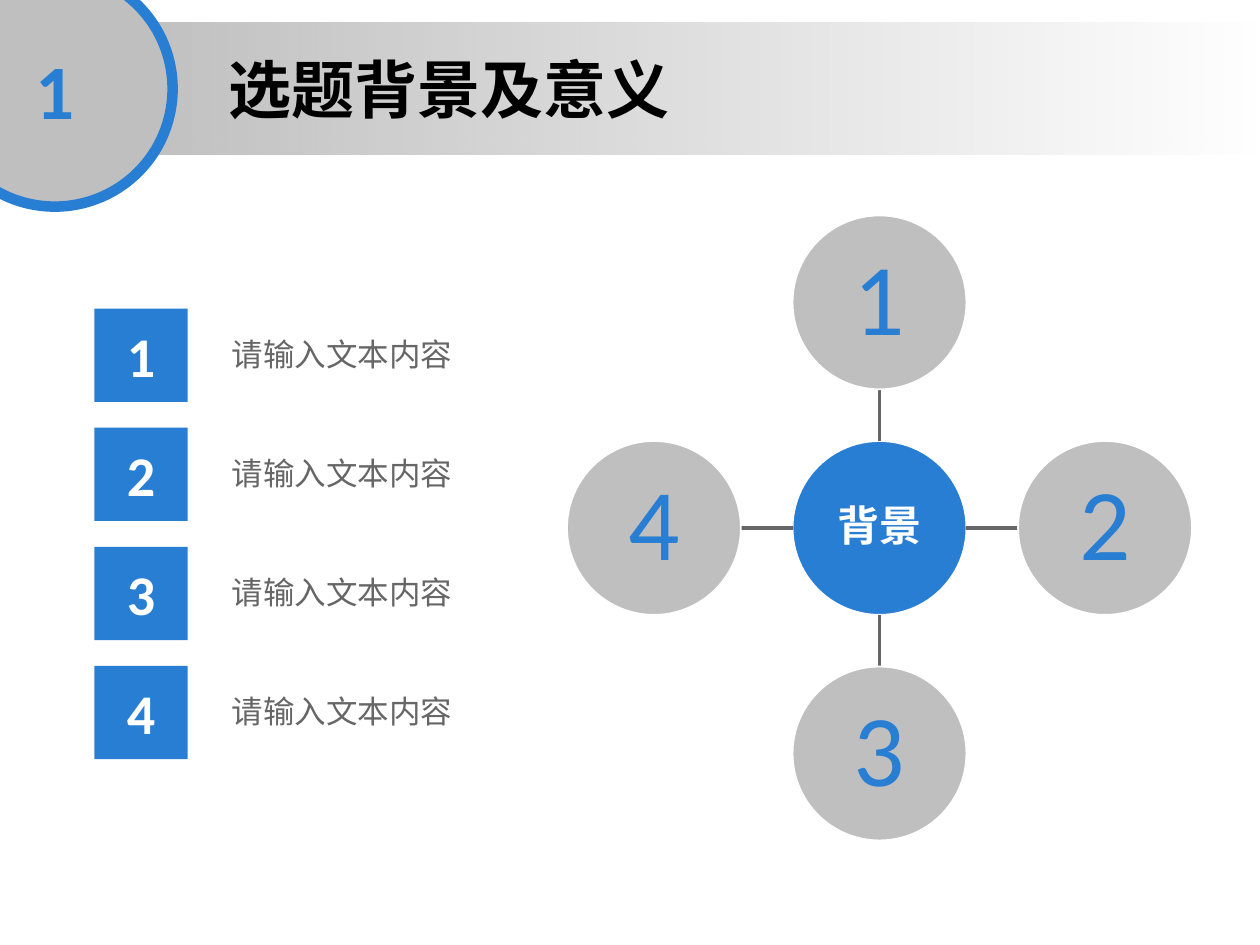
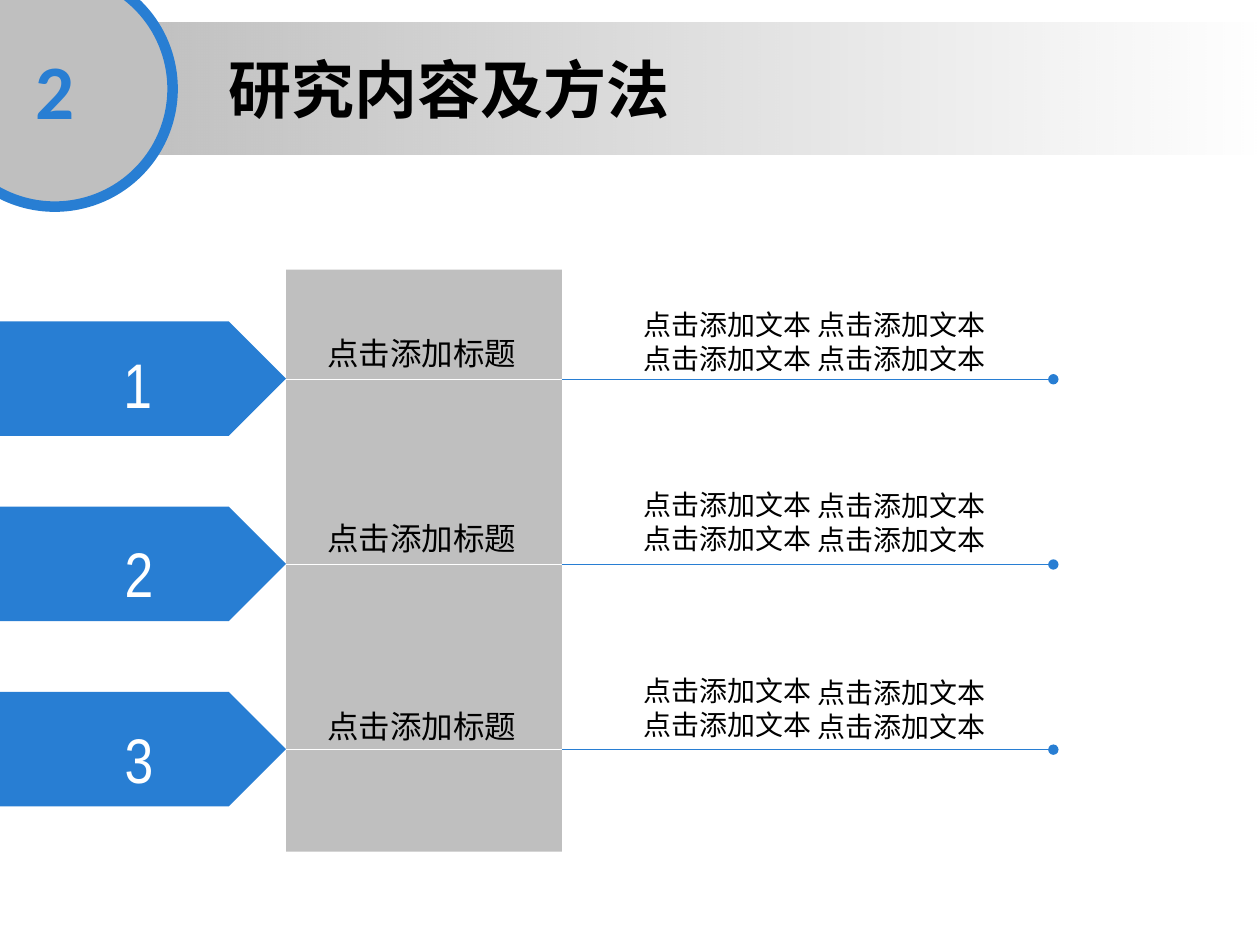
"""Build two numbered section slides: a hub diagram and a list of methods."""
from dataclasses import dataclass

import pptx
import pptx.dml.color
import pptx.enum.shapes
import pptx.enum.text
import pptx.oxml.ns
import pptx.util
from lxml import etree
from pptx.util import Inches

Shapes = pptx.enum.shapes.MSO_SHAPE
Anchor = pptx.enum.text.MSO_ANCHOR
Align = pptx.enum.text.PP_ALIGN
qn = pptx.oxml.ns.qn


@dataclass(frozen=True)
class TextStyle:
    """Font, size, colour and weight of a piece of text."""
    font: str
    size: float
    color: str
    bold: bool = False


@dataclass(frozen=True)
class Theme:
    """Colours and text styles shared by the slides."""
    blue: str = "287ED3"
    silver: str = "BFBFBF"
    gray: str = "666666"
    white: str = "FFFFFF"
    title: TextStyle = TextStyle("Noto Sans CJK SC", 36, "000000", True)
    section: TextStyle = TextStyle("Calibri", 44, "287ED3", True)
    hub: TextStyle = TextStyle("Noto Sans CJK SC", 24, "FFFFFF", True)
    node: TextStyle = TextStyle("Calibri", 58, "287ED3")
    square: TextStyle = TextStyle("Calibri", 32, "FFFFFF", True)
    item: TextStyle = TextStyle("Noto Sans CJK SC", 18, "666666")
    label: TextStyle = TextStyle("DejaVu Sans", 18, "000000")
    detail: TextStyle = TextStyle("Noto Sans CJK SC", 16, "000000")
    arrow: TextStyle = TextStyle("Arial Narrow", 36, "FFFFFF")


@dataclass(frozen=True)
class Box:
    """A rectangle in inches."""
    left: float
    top: float
    width: float
    height: float

    def lengths(self) -> tuple:
        """Return left, top, width and height as lengths."""
        return tuple(map(Inches, (self.left, self.top, self.width, self.height)))


@dataclass(frozen=True)
class Node:
    """An outer circle and its direction from the hub."""
    text: str
    across: int
    down: int


@dataclass(frozen=True)
class MethodRow:
    """A numbered row with the places of its texts."""
    number: str
    number_box: Box
    label_top: float
    detail_tops: tuple[float, float]


THEME = Theme()

NODES = [Node("1", 0, -1), Node("2", 1, 0), Node("3", 0, 1), Node("4", -1, 0)]

METHOD_ROWS = [
    MethodRow("1", Box(0.88, 2.69, 0.39, 0.71), 2.60, (2.39, 2.39)),
    MethodRow("2", Box(0.89, 4.19, 0.46, 0.71), 4.07, (3.82, 3.83)),
    MethodRow("3", Box(0.89, 5.67, 0.47, 0.71), 5.56, (5.30, 5.31)),
]


def rgb(color: str) -> pptx.dml.color.RGBColor:
    """Turn a hexadecimal string into a colour."""
    return pptx.dml.color.RGBColor.from_string(color)


def write_text(shape, text: str, style: TextStyle, align=Align.LEFT):
    """Put one styled paragraph into a shape and return the paragraph."""
    shape.text_frame.text = text
    paragraph = shape.text_frame.paragraphs[0]
    paragraph.alignment = align
    font = paragraph.font
    font.name, font.bold = style.font, style.bold
    font.size = pptx.util.Pt(style.size)
    font.color.rgb = rgb(style.color)
    latin = paragraph._p.find(".//" + qn("a:latin"))
    latin.addnext(latin.makeelement(qn("a:ea"), {"typeface": style.font}))
    return paragraph


def add_text(slide, box: Box, text: str, style: TextStyle, wrap: bool = False) -> None:
    """Add a text box that grows with its text."""
    shape = slide.shapes.add_textbox(*box.lengths())
    shape.text_frame.word_wrap = wrap
    shape.text_frame.auto_size = pptx.enum.text.MSO_AUTO_SIZE.SHAPE_TO_FIT_TEXT
    write_text(shape, text, style)


def add_shape(slide, kind, box: Box, fill: str, line: str = "", line_width: float = 0):
    """Add a flat preset shape, outlined only when a line colour is given."""
    shape = slide.shapes.add_shape(kind, *box.lengths())
    shape.shadow.inherit = False
    shape.fill.solid()
    shape.fill.fore_color.rgb = rgb(fill)
    if line:
        shape.line.color.rgb = rgb(line)
        shape.line.width = pptx.util.Pt(line_width)
    else:
        shape.line.fill.background()
    shape.text_frame.vertical_anchor = Anchor.MIDDLE
    return shape


def add_line(slide, start: tuple, end: tuple, color: str, width: float,
             dot: bool = False) -> None:
    """Add a straight line, with a dot at its end if asked."""
    connector = slide.shapes.add_connector(
        pptx.enum.shapes.MSO_CONNECTOR.STRAIGHT, *map(Inches, (*start, *end)))
    connector.line.color.rgb = rgb(color)
    connector.line.width = pptx.util.Pt(width)
    properties = connector._element.spPr
    if dot:
        etree.SubElement(properties.find(qn("a:ln")), qn("a:tailEnd"), type="oval")
    etree.SubElement(properties, qn("a:effectLst"))


def add_section_slide(presentation, number: str, title: str):
    """Add a slide with the fading band, the section circle and the title."""
    slide = presentation.slides.add_slide(presentation.slide_layouts[5])
    band = add_shape(slide, Shapes.RECTANGLE, Box(0.86, 0.18, 9.14, 1.05), THEME.silver)
    band.fill.gradient()
    band.fill.gradient_angle = 0
    for stop in band.fill.gradient_stops:
        stop.color.rgb = rgb(THEME.silver)
    last_color = band._element.findall(".//" + qn("a:gs") + "/" + qn("a:srgbClr"))[-1]
    etree.SubElement(last_color, qn("a:alpha"), val="0")

    circle = add_shape(slide, Shapes.OVAL, Box(-0.5, -0.23, 1.87, 1.87),
                       THEME.silver, THEME.blue, 6)
    write_text(circle, number, THEME.section, Align.CENTER)

    heading = slide.shapes.title
    heading.left, heading.top, heading.width, heading.height = Box(
        1.71, 0.35, 6.19, 0.71).lengths()
    heading.text_frame.vertical_anchor = Anchor.TOP
    heading.text_frame.auto_size = pptx.enum.text.MSO_AUTO_SIZE.SHAPE_TO_FIT_TEXT
    write_text(heading, title, THEME.title)
    heading._element.getparent().append(heading._element)  # in front of the band
    return slide


def add_disc(slide, x: float, y: float, diameter: float, fill: str,
             text: str, style: TextStyle) -> None:
    """Add a circle of the hub diagram around a centre point."""
    box = Box(x - diameter / 2, y - diameter / 2, diameter, diameter)
    disc = add_shape(slide, Shapes.OVAL, box, fill, THEME.white, 1)
    frame = disc.text_frame
    frame.margin_left = frame.margin_right = Inches(0.04)
    frame.margin_top = frame.margin_bottom = Inches(0.04)
    write_text(disc, text, style, Align.CENTER).line_spacing = 0.9


def add_hub_diagram(slide) -> None:
    """Draw the hub with a spoke and a circle in each direction."""
    x, y, diameter, pitch = 6.98, 4.19, 1.38, 1.79
    add_disc(slide, x, y, diameter, THEME.blue, "背景", THEME.hub)
    near, far = diameter / 2, pitch - diameter / 2
    for node in NODES:
        start = (x + near * node.across, y + near * node.down)
        end = (x + far * node.across, y + far * node.down)
        add_line(slide, start, end, THEME.gray, 2.25)
        add_disc(slide, x + pitch * node.across, y + pitch * node.down,
                 diameter, THEME.silver, node.text, THEME.node)


def add_numbered_list(slide) -> None:
    """Draw the numbered squares and their texts."""
    for index, node in enumerate(NODES):
        top = 2.45 + 0.945 * index
        square = add_shape(slide, Shapes.RECTANGLE, Box(0.75, top, 0.74, 0.74), THEME.blue)
        write_text(square, node.text, THEME.square, Align.CENTER)
        add_text(slide, Box(1.74, top + 0.16, 2.76, 0.4), "请输入文本内容",
                 THEME.item, wrap=True)


def add_method_rows(slide) -> None:
    """Draw the grey column and the arrows, lines and texts crossing it."""
    left, right, line_end = 2.27, 4.46, 8.36
    add_shape(slide, Shapes.RECTANGLE, Box(left, 2.14, right - left, 4.62), THEME.silver)
    for index, row in enumerate(METHOD_ROWS):
        y = 3.01 + 1.47 * index
        add_line(slide, (left, y), (right, y), THEME.white, 0.5)
        add_line(slide, (right, y), (line_end, y), THEME.blue, 0.5, dot=True)
        add_shape(slide, Shapes.PENTAGON, Box(0, y - 0.46, left, 0.91), THEME.blue)
        add_text(slide, row.number_box, row.number, THEME.arrow)
        add_text(slide, Box(2.5, row.label_top, 1.72, 0.4), "点击添加标题", THEME.label)
        for column_left, top in zip((5.01, 6.39), row.detail_tops):
            for offset in (0, 0.27):
                add_text(slide, Box(column_left, top + offset, 1.55, 0.37),
                         "点击添加文本", THEME.detail)


def main() -> None:
    """Build and save the presentation."""
    presentation = pptx.Presentation()
    presentation.slide_width, presentation.slide_height = Inches(10), Inches(7.5)

    background_slide = add_section_slide(presentation, "1", "选题背景及意义")
    add_hub_diagram(background_slide)
    add_numbered_list(background_slide)

    methods_slide = add_section_slide(presentation, "2", "研究内容及方法")
    add_method_rows(methods_slide)

    presentation.save("out.pptx")


main()
